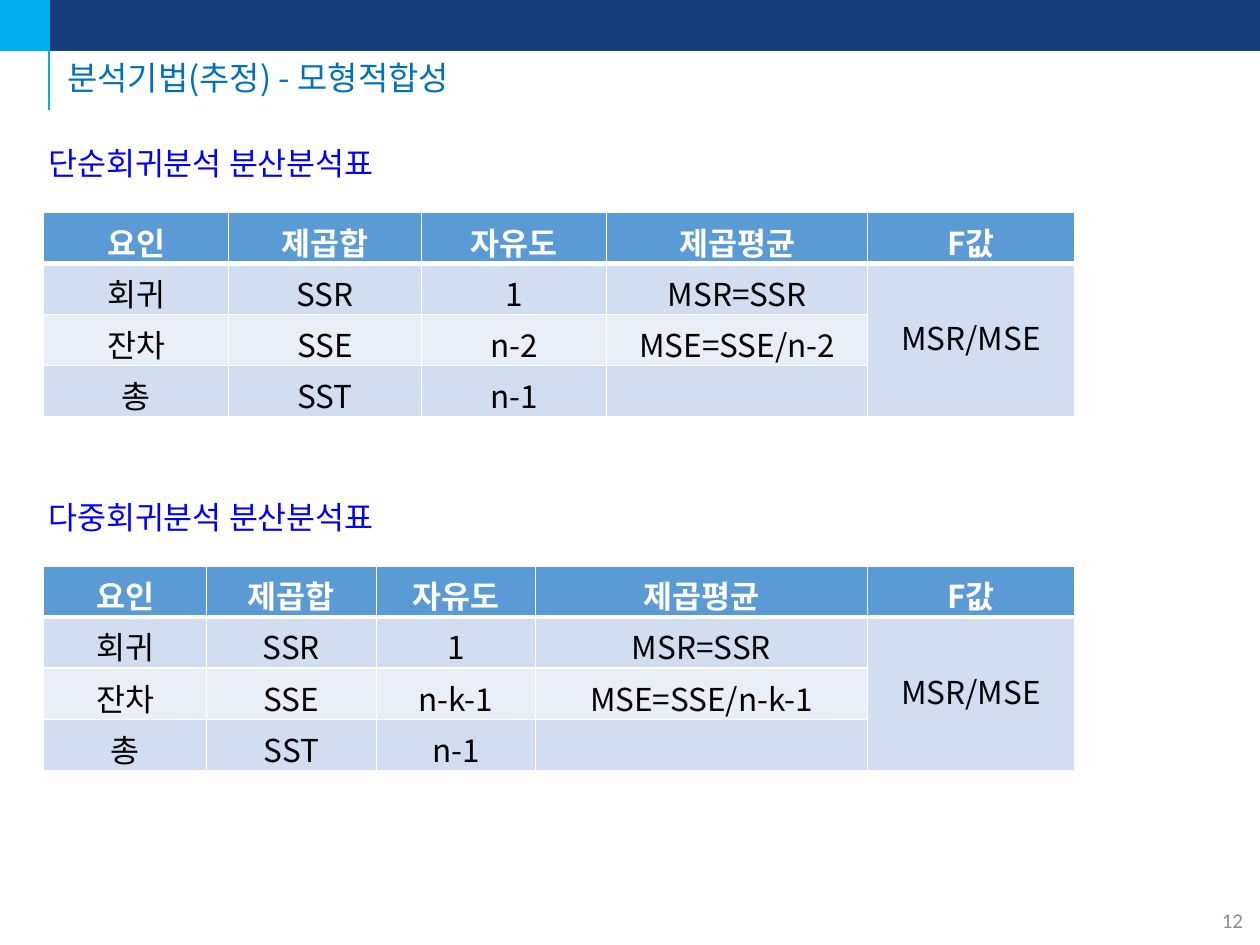
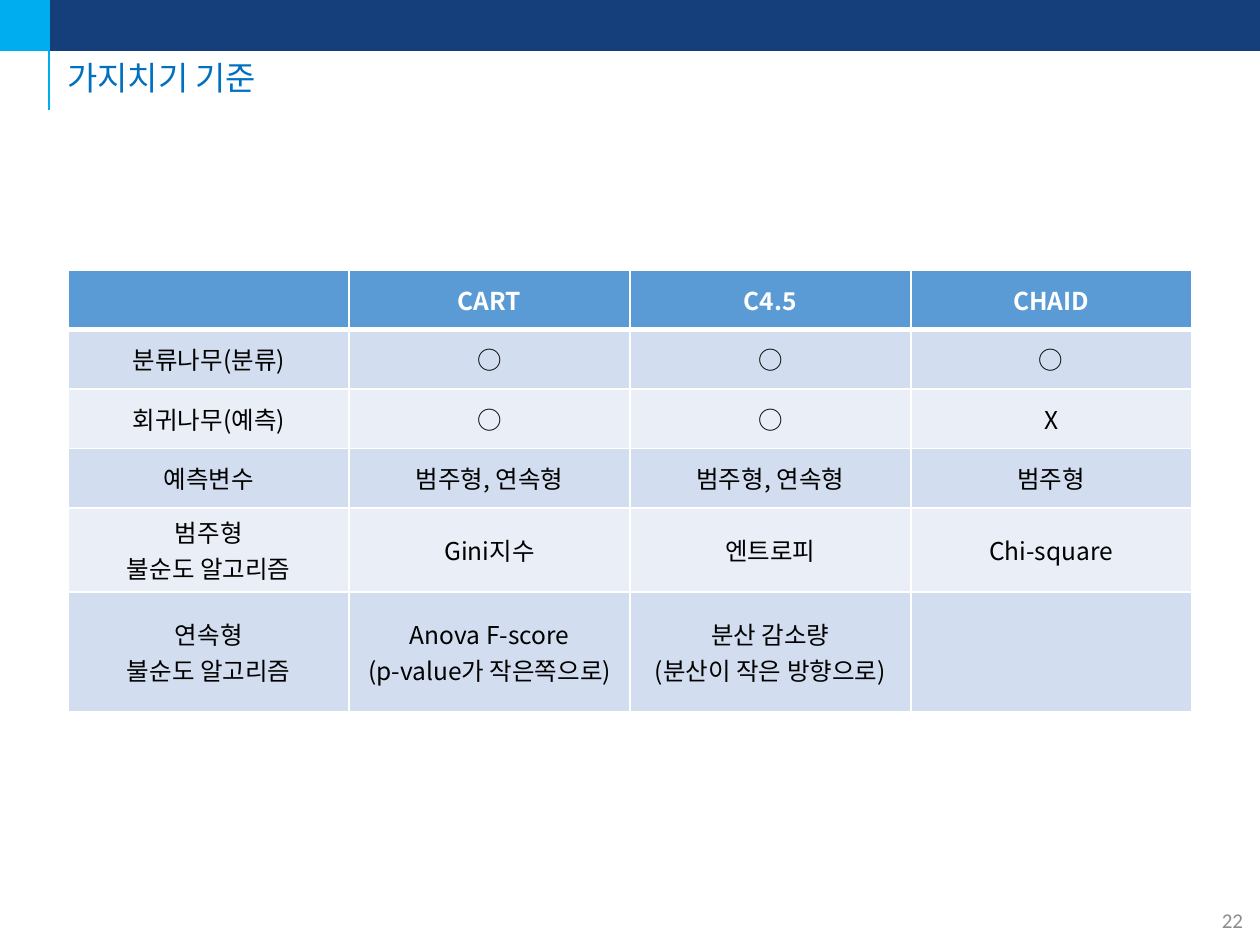
from dataclasses import dataclass

from lxml import etree
from pptx import Presentation
from pptx import util as u
from pptx.dml.color import RGBColor
from pptx.enum import shapes, text
from pptx.oxml import ns

HUES = {
    "navy": "143F7B",
    "cyan": "00ADEF",
    "title": "0070C0",
    "label": "0000FF",
    "page": "8C8C8C",
    "head": "5B9BD5",
    "odd": "D2DEEF",
    "even": "EAEFF7",
    "white": "FFFFFF",
    "black": "000000",
}
SANS = "Noto Sans CJK KR"
LEFT, MID = text.PP_ALIGN.LEFT, text.PP_ALIGN.CENTER
BAND = 1.02  # height of the top band, cm
PAD = 0.13  # usual bottom margin of a cell, cm


@dataclass
class Style:
    size: float
    hue: str
    font: str = SANS
    bold: bool = False
    align: text.PP_ALIGN = LEFT


@dataclass
class Grid:
    """A table; lengths in cm."""
    left: float
    top: float
    cols: list[float]
    rows: list[float]
    cells: list[list[str]]
    size: float
    foot: float = PAD  # bottom margin of a cell
    span: bool = False  # last column merged below the header


TITLE = Style(18.8, "title")
LABEL = Style(18, "label")
PAGE = Style(12, "page", "Calibri", align=MID)


def rgb(hue: str) -> RGBColor:
    return RGBColor.from_string(HUES[hue])


def write(frame, words: str, style: Style) -> None:
    frame.text = words
    for para in frame.paragraphs:
        para.alignment = style.align
        for run in para.runs:
            font = run.font
            font.name, font.size, font.bold = style.font, u.Pt(style.size), style.bold
            font.color.rgb = rgb(style.hue)
            east = etree.SubElement(font._element, ns.qn("a:ea"))
            east.set("typeface", style.font)


def add_text(slide, box: tuple, words: str, style: Style, wrap: bool = True):
    frame = slide.shapes.add_textbox(*map(u.Cm, box)).text_frame
    frame.word_wrap = wrap
    write(frame, words, style)
    return frame


def add_band(slide, width: float, hue: str) -> None:
    band = slide.shapes.add_shape(
        shapes.MSO_SHAPE.RECTANGLE, 0, 0, u.Cm(width), u.Cm(BAND))
    band.shadow.inherit = False
    band.fill.solid()
    band.fill.fore_color.rgb = band.line.color.rgb = rgb(hue)
    band.line.width = u.Pt(1)


def add_page(deck, title: str, page: int):
    """Add a slide with the bands, rule, title and page number."""
    slide = deck.slides.add_slide(deck.slide_layouts[5])
    add_band(slide, 25.4, "navy")
    add_band(slide, 0.97, "cyan")

    rule = slide.shapes.add_connector(
        shapes.MSO_CONNECTOR.STRAIGHT, u.Cm(0.99), u.Cm(2.21), u.Cm(0.99), 0)
    rule.line.color.rgb = rgb("cyan")
    rule.line.width = u.Pt(1.5)
    etree.SubElement(rule._element.spPr, ns.qn("a:effectLst"))

    head = slide.shapes.title
    head.left, head.top, head.width, head.height = map(u.Cm, (1.1, 1.05, 24.64, 1.12))
    frame = head.text_frame
    frame.auto_size = text.MSO_AUTO_SIZE.NONE
    frame.vertical_anchor = text.MSO_ANCHOR.MIDDLE
    write(frame, title, TITLE)
    frame.paragraphs[0].line_spacing = 0.9

    foot = add_text(slide, (24.31, 18.03, 1.07, 1.02), str(page), PAGE)
    foot.vertical_anchor = text.MSO_ANCHOR.MIDDLE
    return slide


def add_edges(cell, row: int) -> None:
    """Give a cell white borders, thick between header and body."""
    props = cell._tc.get_or_add_tcPr()
    for side in "LRTB":
        thick = (row, side) in ((0, "B"), (1, "T"))
        edge = etree.SubElement(props, ns.qn(f"a:ln{side}"))
        edge.set("w", str(u.Pt(3 if thick else 1)))
        fill = etree.SubElement(edge, ns.qn("a:solidFill"))
        etree.SubElement(fill, ns.qn("a:srgbClr")).set("val", HUES["white"])


def add_grid(slide, grid: Grid) -> None:
    table = slide.shapes.add_table(
        len(grid.rows), len(grid.cols), u.Cm(grid.left), u.Cm(grid.top),
        u.Cm(sum(grid.cols)), u.Cm(sum(grid.rows))).table
    for col, width in zip(table.columns, grid.cols):
        col.width = u.Cm(width)
    for row, height in zip(table.rows, grid.rows):
        row.height = u.Cm(height)

    head = Style(grid.size, "white", bold=True, align=MID)
    body = Style(grid.size, "black", align=MID)
    for r, line in enumerate(grid.cells):
        for c, words in enumerate(line):
            cell = table.cell(r, c)
            add_edges(cell, r)
            cell.fill.solid()
            shade = "head" if r == 0 else "odd" if r % 2 else "even"
            cell.fill.fore_color.rgb = rgb(shade)
            cell.vertical_anchor = text.MSO_ANCHOR.MIDDLE
            cell.margin_bottom = u.Cm(grid.foot)
            if words:
                write(cell.text_frame, words, body if r else head)
    if grid.span:
        last = len(grid.cols) - 1
        ratio = table.cell(1, last)
        ratio.merge(table.cell(len(grid.rows) - 1, last))
        ratio.margin_bottom = u.Cm(2 * PAD)


def add_anova(slide, top: float, label: str, cols: list[float], free: str) -> None:
    """Add a captioned variance table; free is the residual's degrees of freedom."""
    add_text(slide, (0.72, top, 7.39, 1.02), label, LABEL, wrap=False)
    cells = [
        ["요인", "제곱합", "자유도", "제곱평균", "F값"],
        ["회귀", "SSR", "1", "MSR=SSR", "MSR/MSE"],
        ["잔차", "SSE", free, f"MSE=SSE/{free}", ""],
        ["총", "SST", "n-1", "", ""],
    ]
    add_grid(slide, Grid(0.88, top + 1.5, cols, [1.03] * 4, cells, 18, foot=0, span=True))


def add_fit(deck) -> None:
    slide = add_page(deck, "분석기법(추정) - 모형적합성", 12)
    add_anova(slide, 2.78, "단순회귀분석 분산분석표",
              [3.73, 3.89, 3.73, 5.26, 4.17], "n-2")
    add_anova(slide, 9.91, "다중회귀분석 분산분석표",
              [3.28, 3.43, 3.2, 6.7, 4.17], "n-k-1")


def add_split(deck) -> None:
    slide = add_page(deck, "가지치기 기준", 22)
    cells = [
        ["", "CART", "C4.5", "CHAID"],
        ["분류나무(분류)", "○", "○", "○"],
        ["회귀나무(예측)", "○", "○", "X"],
        ["예측변수", "범주형, 연속형", "범주형, 연속형", "범주형"],
        ["범주형\n불순도 알고리즘", "Gini지수", "엔트로피", "Chi-square"],
        ["연속형\n불순도 알고리즘", "Anova F-score\n(p-value가 작은쪽으로)",
         "분산 감소량\n(분산이 작은 방향으로)", ""],
    ]
    rows = [1.2] * 4 + [1.69, 2.42]
    add_grid(slide, Grid(1.38, 5.44, [5.66] * 4, rows, cells, 14))


def main() -> None:
    deck = Presentation()
    deck.slide_width, deck.slide_height = u.Cm(25.4), u.Cm(19.05)
    add_fit(deck)
    add_split(deck)
    deck.save("out.pptx")


if __name__ == "__main__":
    main()
